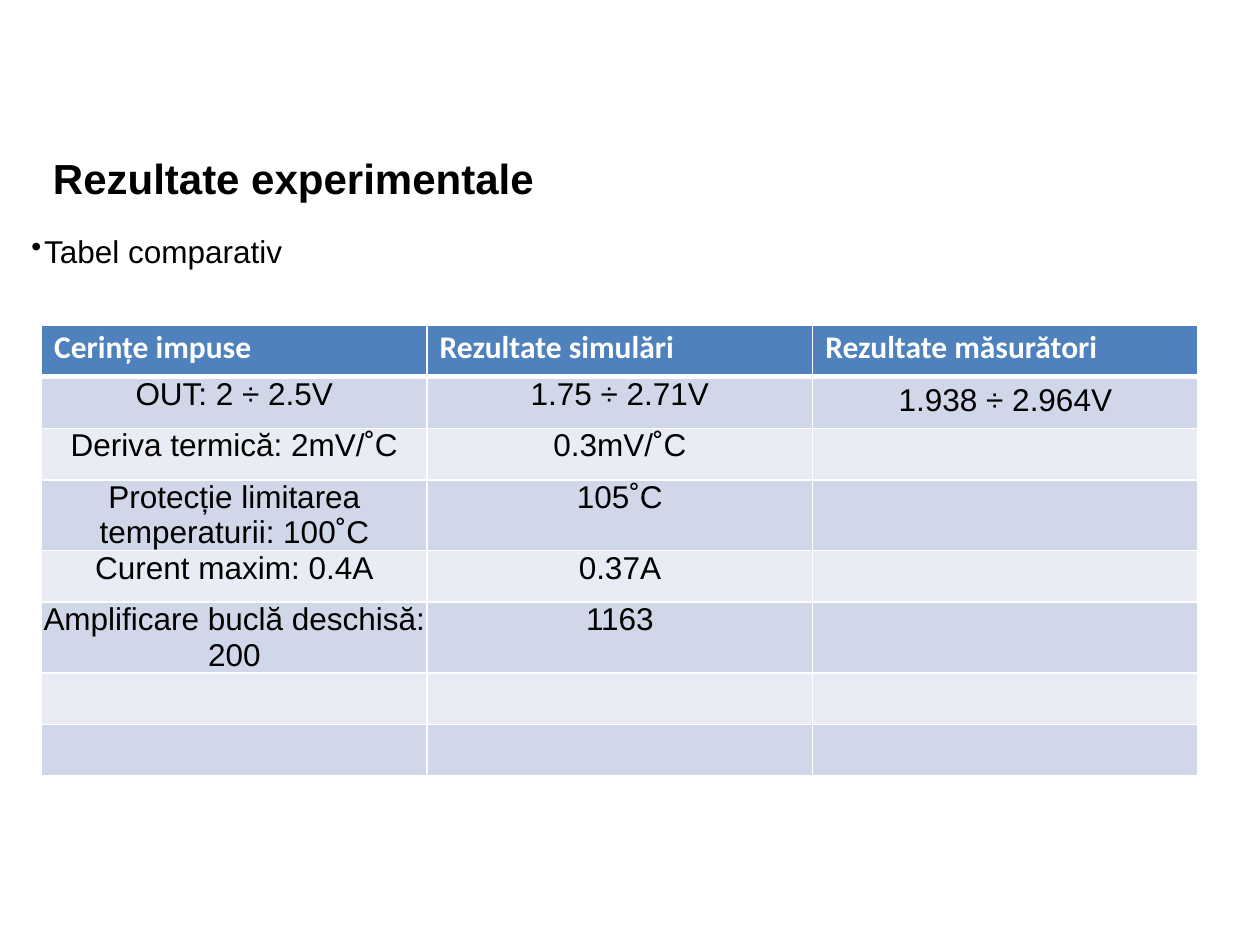
from pptx import Presentation
from pptx.dml.color import RGBColor
from pptx.enum.text import MSO_ANCHOR, MSO_AUTO_SIZE, PP_ALIGN
from pptx.oxml.ns import qn
from pptx.util import Inches, Pt
from lxml import etree

LEFT, CENTER = PP_ALIGN.LEFT, PP_ALIGN.CENTER
TOP = MSO_ANCHOR.TOP
FIXED = MSO_AUTO_SIZE.NONE

THEME = {
    "ink": "000000", "white": "FFFFFF", "head": "4F81BC",
    "bands": ("D0D7E8", "E9ECF4"),
    "font": "Arial", "headfont": "Calibri", "title": 24, "body": 18,
}


def style(para, size, font=THEME["font"], color=THEME["ink"], bold=False, align=LEFT, before=0):
    para.alignment = align
    para.space_before = Pt(before)
    for run in para.runs:
        run.font.size = Pt(size)
        run.font.name = font
        run.font.bold = bold
        run.font.color.rgb = RGBColor.from_string(color)


def border(cell, side, width):
    line = etree.SubElement(cell._tc.get_or_add_tcPr(), qn(f"a:ln{side}"), w=str(Pt(width)))
    fill = etree.SubElement(line, qn("a:solidFill"))
    etree.SubElement(fill, qn("a:srgbClr"), val=THEME["white"])


deck = Presentation()
deck.slide_width, deck.slide_height = Inches(10), Inches(7.5)
slide = deck.slides.add_slide(deck.slide_layouts[5])

title = slide.shapes.title
title.left, title.top = Inches(0.42), Inches(1.03)
title.width, title.height = Inches(8.69), Inches(0.6)
note = slide.shapes.add_textbox(Inches(0.25), Inches(1.83), Inches(2), Inches(0.33))

for shape, text, inset, size, bold in (
    (title, "Rezultate experimentale", 0.18, THEME["title"], True),
    (note, "Tabel comparativ", 0.01, THEME["body"], False),
):
    frame = shape.text_frame
    frame.text = text
    frame.word_wrap = True
    frame.auto_size = FIXED
    frame.vertical_anchor = TOP
    frame.margin_left = frame.margin_right = frame.margin_bottom = 0
    frame.margin_top = Inches(inset)
    style(frame.paragraphs[0], size, bold=bold, before=1)

props = note.text_frame.paragraphs[0]._p.get_or_add_pPr()
props.set("marL", str(Inches(0.1)))
props.set("indent", str(Inches(-0.1)))
etree.SubElement(props, qn("a:buSzPct"), val="94000")
etree.SubElement(props, qn("a:buChar"), char="•")

rows = [
    ("Cerințe impuse", "Rezultate simulări", "Rezultate măsurători"),
    ("OUT: 2 ÷ 2.5V", "1.75 ÷ 2.71V", "1.938 ÷ 2.964V"),
    ("Deriva termică: 2mV/˚C", "0.3mV/˚C", ""),
    ("Protecție limitarea temperaturii: 100˚C", "105˚C", ""),
    ("Curent maxim: 0.4A", "0.37A", ""),
    ("Amplificare buclă deschisă:\v200", "1163", ""),
    ("", "", ""),
    ("", "", ""),
]
table = slide.shapes.add_table(
    len(rows), 3, Inches(0.33), Inches(2.58), Inches(9.17), Inches(3.25)).table
table.first_row = table.horz_banding = False
for col in table.columns:
    col.width = Inches(3.06)

for r, row in enumerate(rows):
    table.rows[r].height = Inches(0.41)
    for c, text in enumerate(row):
        cell = table.cell(r, c)
        cell.text_frame.text = text
        cell.margin_left = cell.margin_right = cell.margin_top = cell.margin_bottom = 0
        para = cell.text_frame.paragraphs[0]
        if r == 0:
            cell.margin_left, cell.margin_top = Inches(0.1), Inches(0.03)
            style(para, THEME["body"], THEME["headfont"], THEME["white"], True, before=2.4)
        else:
            style(para, THEME["body"], align=CENTER)
        for side, width in (("L", 1), ("R", 1), ("T", 3 if r == 1 else 1), ("B", 3 if r == 0 else 1)):
            border(cell, side, width)
        cell.fill.solid()
        cell.fill.fore_color.rgb = RGBColor.from_string(
            THEME["bands"][(r - 1) % 2] if r else THEME["head"])

last = table.cell(1, 2)
last.margin_top = Inches(0.05)
last.text_frame.paragraphs[0].space_before = Pt(3.9)

deck.save("out.pptx")
